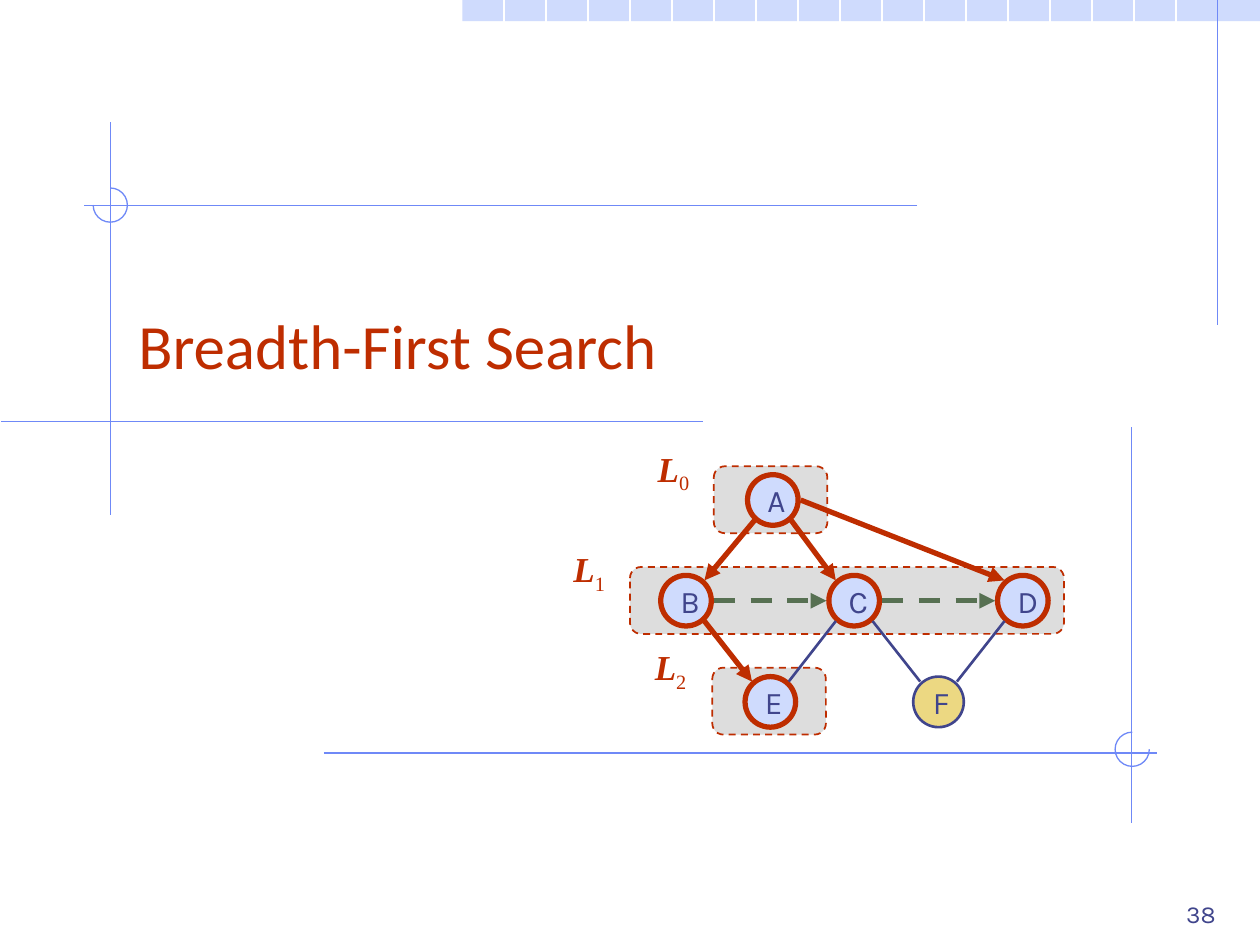
from lxml.etree import SubElement
from pptx import Presentation
from pptx.dml.color import RGBColor
from pptx.enum.dml import MSO_LINE
from pptx.enum.shapes import MSO_CONNECTOR, MSO_SHAPE
from pptx.enum.text import MSO_ANCHOR as Anchor, PP_ALIGN as Align
from pptx.oxml.ns import qn
from pptx.util import Cm, Pt

COLORS = {"rust": "BE2D00", "navy": "40458C", "pale": "CFDBFD", "blue": "6F89F7",
          "gray": "DDDDDD", "green": "577052", "gold": "ECD882", "white": "FFFFFF"}

TITLE = "Breadth-First Search"
PAGE_NUMBER = "38"

# All places and sizes are in centimetres.
PAGE_WIDTH, PAGE_HEIGHT = 25.4, 19.05
BAND = (9.32, 0, 16.08, 0.43)
GRID_STEP = PAGE_WIDTH / 30
RULES = [((24.55, 0), (24.55, 6.55)), ((2.23, 2.46), (2.23, 10.39)),
         ((14.17, 8.49), (0.03, 8.49)), ((18.49, 4.14), (1.7, 4.14)),
         ((6.53, 15.18), (23.32, 15.18)), ((22.81, 8.61), (22.81, 16.59))]
ARC_SIZE = 0.69
ARCS = [(1.88, 3.79, -90, 180), (22.48, 14.76, 0, -90)]  # left, top, angles

LEVEL_HEIGHT = 1.35
LEVELS = [  # number, box left, top, width, label left, top
    ("0", 14.39, 9.4, 2.29, 13.01, 8.89),
    ("1", 12.7, 11.43, 8.75, 11.31, 10.92),
    ("2", 14.36, 13.46, 2.29, 12.95, 12.89),
]

NODE_SIZE = 1.02
NODES = {"A": (15.58, 10.08), "B": (13.83, 12.11), "C": (17.22, 12.11),
         "D": (20.62, 12.11), "E": (15.53, 14.15), "F": (18.92, 14.15)}
UNVISITED = "F"

# Offsets from a node's centre to the end of an edge.
REACH, DIAGONAL_X, DIAGONAL_Y = 0.56, 0.37, 0.41
SIDES = {"left": (-REACH, 0), "right": (REACH, 0),
         "top left": (-DIAGONAL_X, -DIAGONAL_Y), "top right": (DIAGONAL_X, -DIAGONAL_Y),
         "bottom left": (-DIAGONAL_X, DIAGONAL_Y), "bottom right": (DIAGONAL_X, DIAGONAL_Y)}
EDGE_STYLES = {  # colour, width, dashed, arrow
    "discovery": ("rust", 3, False, True),
    "cross": ("green", 3, True, True),
    "unexplored": ("navy", 1.5, False, False),
}
EDGES = [
    ("A", "bottom left", "B", "top right", "discovery"),
    ("A", "bottom right", "C", "top left", "discovery"),
    ("A", "right", "D", "top left", "discovery"),
    ("B", "bottom right", "E", "top left", "discovery"),
    ("B", "right", "C", "left", "cross"),
    ("C", "right", "D", "left", "cross"),
    ("E", "top right", "C", "bottom left", "unexplored"),
    ("C", "bottom right", "F", "top left", "unexplored"),
    ("F", "top right", "D", "bottom left", "unexplored"),
]


def color(name):
    return RGBColor.from_string(COLORS[name])


def set_line(line, name, width, dashed=False):
    line.color.rgb = color(name)
    line.width = Pt(width)
    if dashed:
        line.dash_style = MSO_LINE.DASH


def add_shape(page, kind, place, fill=None, line=None):
    shape = page.shapes.add_shape(kind, *map(Cm, place))
    shape.shadow.inherit = False
    if fill:
        shape.fill.solid()
        shape.fill.fore_color.rgb = color(fill)
    else:
        shape.fill.background()
    if line:
        set_line(shape.line, *line)
    else:
        shape.line.fill.background()
    return shape


def add_line(page, start, end, name, width, dashed=False, arrow=False):
    line = page.shapes.add_connector(MSO_CONNECTOR.STRAIGHT, *map(Cm, start + end))
    set_line(line.line, name, width, dashed)
    if arrow:
        SubElement(line.line._get_or_add_ln(), qn("a:tailEnd"), type="triangle")
    SubElement(line._element.spPr, qn("a:effectLst"))


def style_span(span, font, size, name):
    span.font.name = font
    span.font.size = Pt(size)
    span.font.color.rgb = color(name)


def write(shape, text, font, size, name, anchor, align=Align.LEFT, wrap=True):
    frame = shape.text_frame
    frame.word_wrap = wrap
    frame.vertical_anchor = anchor
    frame.text = text
    para = frame.paragraphs[0]
    para.alignment = align
    style_span(para.runs[0], font, size, name)
    return para


def add_text(page, place, *style):
    return write(page.shapes.add_textbox(*map(Cm, place)), *style)


def edge_end(node, side):
    """Return the point just outside a node on the given side."""
    (x, y), (dx, dy) = NODES[node], SIDES[side]
    return x + dx, y + dy


def draw_background(page):
    add_shape(page, MSO_SHAPE.RECTANGLE, BAND, "pale")
    for column in range(12, 29):
        x = column * GRID_STEP
        add_line(page, (x, 0), (x, PAGE_HEIGHT), "white", 0.75)
    for start, end in RULES:
        add_line(page, start, end, "blue", 0.75)
    for left, top, *angles in ARCS:
        arc = add_shape(page, MSO_SHAPE.ARC, (left, top, ARC_SIZE, ARC_SIZE),
                        line=("blue", 0.75))
        for index, angle in enumerate(angles):
            arc.adjustments[index] = angle % 360 * 0.6  # 60000ths over 100000


def draw_graph(page):
    for number, left, top, width, label_left, label_top in LEVELS:
        add_shape(page, MSO_SHAPE.ROUNDED_RECTANGLE, (left, top, width, LEVEL_HEIGHT),
                  "gray", ("rust", 1, True))
        label_style = ("Times New Roman", 20, "rust")
        para = add_text(page, (label_left, label_top, 1.3, 1.09), "L",
                        *label_style, Anchor.TOP)
        para.runs[0].font.bold = para.runs[0].font.italic = True
        span = para.add_run()
        span.text = number
        style_span(span, *label_style)
        span.font._element.set("baseline", "-25000")
    for name, (x, y) in NODES.items():
        fill, line = ("gold", ("navy", 1.5)) if name == UNVISITED else ("pale", ("rust", 3))
        place = (x - NODE_SIZE / 2, y - NODE_SIZE / 2, NODE_SIZE, NODE_SIZE)
        node = add_shape(page, MSO_SHAPE.OVAL, place, fill, line)
        write(node, name, "Karla", 18, "navy", Anchor.MIDDLE, Align.LEFT, False)
    for start, start_side, end, end_side, style in EDGES:
        add_line(page, edge_end(start, start_side), edge_end(end, end_side),
                 *EDGE_STYLES[style])


def main():
    deck = Presentation()
    deck.slide_width, deck.slide_height = Cm(PAGE_WIDTH), Cm(PAGE_HEIGHT)
    page = deck.slides.add_slide(deck.slide_layouts[6])
    draw_background(page)
    add_text(page, (2.54, 4.64, 21.59, 3.18), TITLE, "Calibri", 36, "rust", Anchor.BOTTOM)
    draw_graph(page)
    add_text(page, (19.48, 17.58, 5.28, 1.27), PAGE_NUMBER, "Karla", 14, "navy",
             Anchor.BOTTOM, Align.RIGHT)
    deck.save("out.pptx")


if __name__ == "__main__":
    main()
